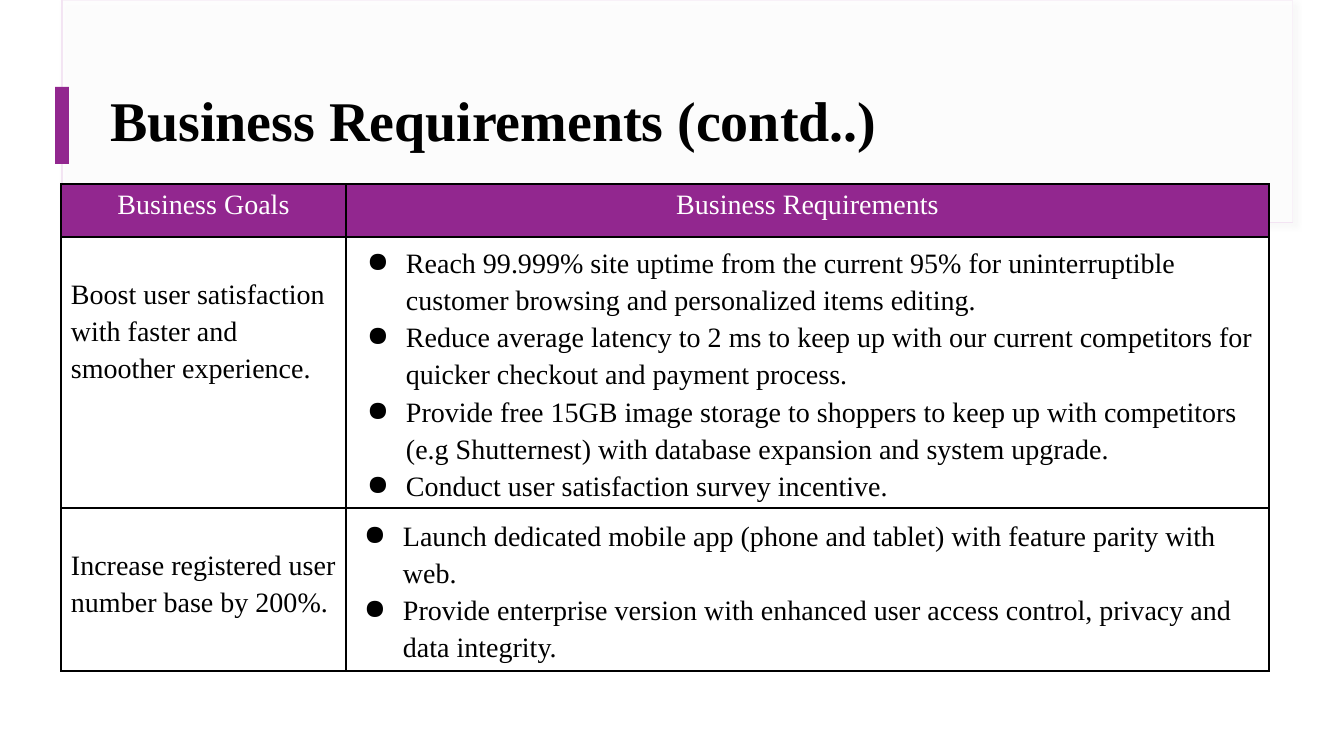
from lxml.etree import SubElement
from pptx import Presentation
from pptx.dml.color import RGBColor
from pptx.enum.shapes import MSO_SHAPE as Shape
from pptx.enum.text import MSO_ANCHOR as Anchor, PP_ALIGN as Align
from pptx.oxml import parse_xml
from pptx.oxml.ns import nsdecls, qn
from pptx.util import Pt

PX = 914400 / 100.8
FONT = "Times New Roman"
PURPLE = RGBColor(0x92, 0x27, 0x8F)
PALE = RGBColor(0xF3, 0xE4, 0xF3)
BLACK = RGBColor(0, 0, 0)
WHITE = RGBColor(0xFF, 0xFF, 0xFF)

HEADINGS = ["Business Goals", "Business Requirements"]
# Goal, requirements, inset of the requirements cell (left/right, top/bottom)
GOALS = [
    ("Boost user satisfaction with faster and smoother experience.", [
        "Reach 99.999% site uptime from the current 95% for uninterruptible "
        "customer browsing and personalized items editing.",
        "Reduce average latency to 2 ms to keep up with our current competitors "
        "for quicker checkout and payment process.",
        "Provide free 15GB image storage to shoppers to keep up with competitors "
        "(e.g Shutternest) with database expansion and system upgrade.",
        "Conduct user satisfaction survey incentive."], (10, 5)),
    ("Increase registered user number base by 200%.", [
        "Launch dedicated mobile app (phone and tablet) with feature parity with web.",
        "Provide enterprise version with enhanced user access control, privacy "
        "and data integrity."], (7, 7)),
]


def px(length):
    return round(length * PX)


def style(para, size, color, bold=False):
    font = para.font
    font.name, font.size, font.bold = FONT, Pt(size), bold
    font.color.rgb = color


def add_block(page, box, color, line=None, alpha=None):
    block = page.shapes.add_shape(Shape.RECTANGLE, *map(px, box))
    block.shadow.inherit = False
    block.fill.solid()
    block.fill.fore_color.rgb = color
    if alpha:
        fill_color = block.element.spPr.find(qn("a:solidFill"))[0]
        SubElement(fill_color, qn("a:alpha"), val=str(alpha * 1000))
    if line:
        block.line.color.rgb = line
        block.line.width = Pt(0.75)
    else:
        block.line.fill.background()
    return block


def add_backdrop(page, box):
    left, top, width, height = box
    frame = add_block(page, box, WHITE, PALE, alpha=49)
    effects = frame.element.spPr.find(qn("a:effectLst"))
    effects.append(parse_xml(
        f'<a:outerShdw {nsdecls("a")} blurRad="{Pt(4)}" dist="{Pt(3)}" '
        'dir="2700000" algn="tl" rotWithShape="0"><a:srgbClr val="D8D8D8">'
        '<a:alpha val="29000"/></a:srgbClr></a:outerShdw>'))
    add_block(page, (left + 1, top, width - 1, height - 1), WHITE, alpha=49)
    add_block(page, (left - 7, top + 87, 14, 77), PURPLE)


def add_title(page, box):
    title = page.shapes.title
    title.left, title.top, title.width, title.height = map(px, box)
    title.element.getparent().append(title.element)  # in front of the backdrop
    frame = title.text_frame
    frame.text = "Business Requirements (contd..)"
    frame.vertical_anchor = Anchor.MIDDLE
    frame.word_wrap = True
    para = frame.paragraphs[0]
    para.alignment = Align.LEFT
    style(para, 40, BLACK, bold=True)


def add_bullet(para):
    props = para._p.get_or_add_pPr()
    props.set("marL", str(px(50)))
    props.set("indent", str(px(-39)))
    bullet_color = SubElement(props, qn("a:buClr"))
    SubElement(bullet_color, qn("a:srgbClr"), val=str(BLACK))
    SubElement(props, qn("a:buChar"), char="●")


def add_borders(cell):
    props = cell._tc.get_or_add_tcPr()
    for side in ("lnL", "lnR", "lnT", "lnB"):
        props.append(parse_xml(
            f'<a:{side} {nsdecls("a")} w="{Pt(1)}"><a:solidFill>'
            f'<a:srgbClr val="{BLACK}"/></a:solidFill></a:{side}>'))


def fill_cell(cell, lines, inset=(10, 5), top=None, heading=False, bullets=False):
    side, edge = inset
    cell.margin_left = cell.margin_right = px(side)
    cell.margin_top = px(edge if top is None else top)
    cell.margin_bottom = px(edge)
    add_borders(cell)
    if heading:
        cell.fill.solid()
        cell.fill.fore_color.rgb = PURPLE
    else:
        cell.fill.background()
    frame = cell.text_frame
    frame.text = "\n".join(lines)
    for para in frame.paragraphs:
        if bullets:
            add_bullet(para)
        if heading:
            para.alignment = Align.CENTER
        else:
            para.line_spacing = 1.2
        style(para, 20, WHITE if heading else BLACK)


def add_goals_table(page, box):
    table = page.shapes.add_table(len(GOALS) + 1, 2, *map(px, box)).table
    table.first_row = table.horz_banding = False
    goal_width = 285
    for column, width in zip(table.columns, (goal_width, box[2] - goal_width)):
        column.width = px(width)
    for row, height in zip(table.rows, (53, 271, 163)):
        row.height = px(height)
    for column, heading in enumerate(HEADINGS):
        fill_cell(table.cell(0, column), [heading], heading=True)
    for row, (goal, requirements, inset) in enumerate(GOALS, 1):
        fill_cell(table.cell(row, 0), [goal], top=36)
        fill_cell(table.cell(row, 1), requirements, inset, bullets=True)


def main():
    deck = Presentation()
    deck.slide_width, deck.slide_height = px(1344), px(756)
    page = deck.slides.add_slide(deck.slide_layouts[5])
    add_backdrop(page, (62, 0, 1231, 223))
    add_goals_table(page, (61, 184, 1208, 487))
    add_title(page, (100, 44, 1161, 151))
    deck.save("out.pptx")


if __name__ == "__main__":
    main()
